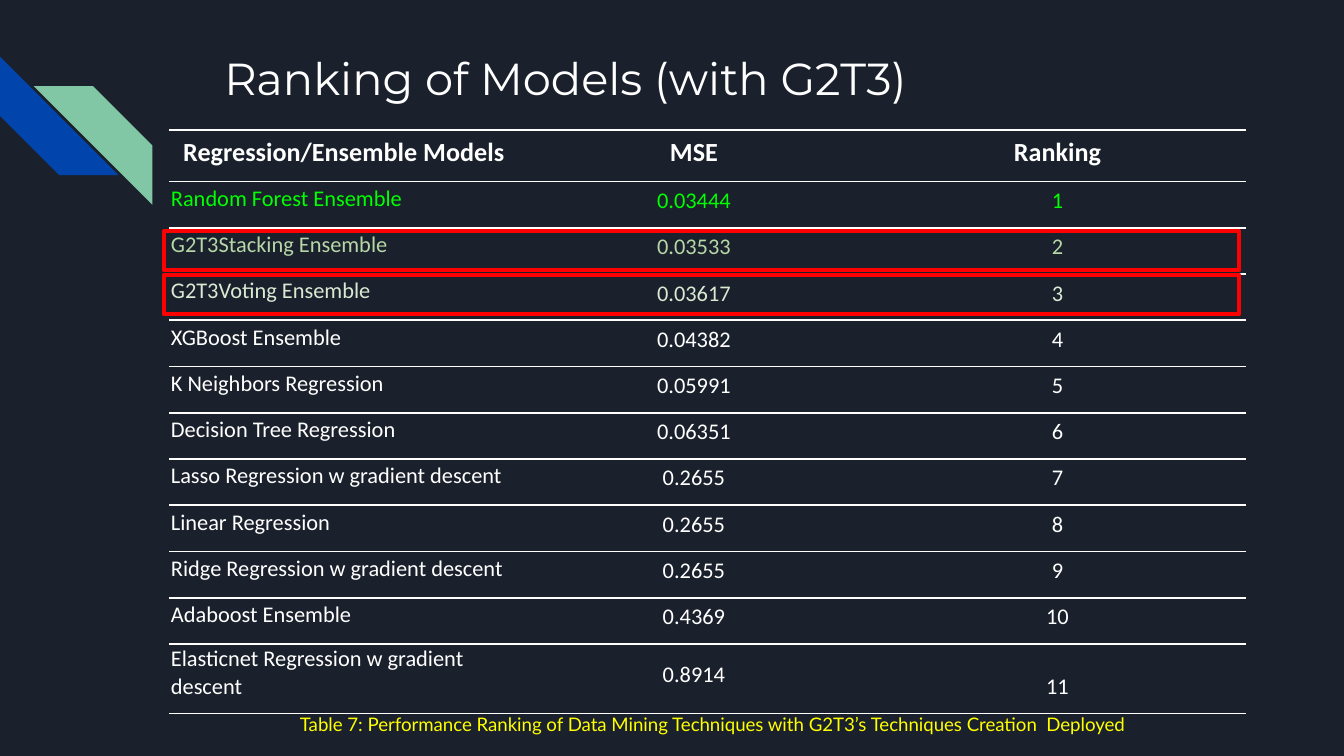
from pptx import Presentation
from pptx.dml.color import RGBColor
from pptx.enum.shapes import MSO_SHAPE
from pptx.enum.text import MSO_ANCHOR, PP_ALIGN
from pptx.oxml.ns import qn
from pptx.util import Cm, Pt
from lxml.etree import SubElement

NAVY = RGBColor(0x1B, 0x21, 0x2C)
BLUE = RGBColor(0x01, 0x45, 0xAC)
MINT = RGBColor(0x82, 0xC7, 0xA5)
WHITE = RGBColor(0xFF, 0xFF, 0xFF)
RED = RGBColor(0xFF, 0x00, 0x00)
YELLOW = RGBColor(0xFF, 0xFF, 0x00)
GREEN = RGBColor(0x00, 0xFF, 0x00)
SAGE = RGBColor(0xB6, 0xD7, 0xA8)
PALE_SAGE = RGBColor(0xD9, 0xEA, 0xD3)

HEADINGS = ("Regression/Ensemble Models", "MSE", "Ranking")
MODELS = [
    ("Random Forest Ensemble", "0.03444"),
    ("G2T3Stacking Ensemble", "0.03533"),
    ("G2T3Voting Ensemble", "0.03617"),
    ("XGBoost Ensemble", "0.04382"),
    ("K Neighbors Regression", "0.05991"),
    ("Decision Tree Regression", "0.06351"),
    ("Lasso Regression w gradient descent", "0.2655"),
    ("Linear Regression", "0.2655"),
    ("Ridge Regression w gradient descent", "0.2655"),
    ("Adaboost Ensemble", "0.4369"),
    ("Elasticnet Regression w gradient descent", "0.8914"),
]
RANK_COLORS = {1: GREEN, 2: SAGE, 3: PALE_SAGE}
COLUMN_WIDTHS = (6.6, 6.63, 7.11)
HEADER_HEIGHT, ROW_HEIGHT, LAST_ROW_HEIGHT = 0.97, 0.87, 1.3


class RankingSlide:
    table_font = "Calibri"
    title_font = "Montserrat"
    caption_font = "Lato"

    def __init__(self, presentation):
        self.slide = presentation.slides.add_slide(presentation.slide_layouts[5])
        self.slide.background.fill.solid()
        self.slide.background.fill.fore_color.rgb = NAVY

    def format_text(self, paragraph, font_name, size, color, bold=False):
        for run in paragraph.runs:
            run.font.name = font_name
            run.font.size = Pt(size)
            run.font.color.rgb = color
            run.font.bold = bold

    def fill_frame(self, shape, text, font_name, size, color, alignment):
        frame = shape.text_frame
        frame.text = text
        frame.word_wrap = True
        frame.vertical_anchor = MSO_ANCHOR.TOP
        frame.margin_left = frame.margin_right = Cm(0.25)
        frame.margin_top = frame.margin_bottom = Cm(0.25)
        frame.paragraphs[0].alignment = alignment
        self.format_text(frame.paragraphs[0], font_name, size, color)

    def title(self, text, left, top, width, height):
        shape = self.slide.shapes.title
        shape.left, shape.top = Cm(left), Cm(top)
        shape.width, shape.height = Cm(width), Cm(height)
        self.fill_frame(shape, text, self.title_font, 24, WHITE, PP_ALIGN.LEFT)

    def caption(self, text, left, top, width, height):
        shape = self.slide.shapes.add_textbox(Cm(left), Cm(top), Cm(width), Cm(height))
        self.fill_frame(shape, text, self.caption_font, 10, YELLOW, PP_ALIGN.CENTER)

    def stripe(self, left, top, size, color, rotation=0, mirrored=False):
        shape = self.slide.shapes.add_shape(
            MSO_SHAPE.DIAGONAL_STRIPE, Cm(left), Cm(top), Cm(size), Cm(size))
        shape.shadow.inherit = False
        shape.fill.solid()
        shape.fill.fore_color.rgb = color
        shape.line.fill.background()
        shape.rotation = rotation
        if mirrored:
            shape.element.spPr.find(qn("a:xfrm")).set("flipH", "1")

    def highlight(self, left, top, width, height):
        shape = self.slide.shapes.add_shape(
            MSO_SHAPE.RECTANGLE, Cm(left), Cm(top), Cm(width), Cm(height))
        shape.shadow.inherit = False
        shape.fill.background()
        shape.line.color.rgb = RED
        shape.line.width = Pt(2.25)

    def cell_borders(self, cell):
        properties = cell._tc.get_or_add_tcPr()
        for position, side in enumerate(("lnL", "lnR", "lnT", "lnB")):
            line = properties.makeelement(qn(f"a:{side}"), {"w": str(Pt(1))})
            if side in ("lnT", "lnB"):
                fill = SubElement(line, qn("a:solidFill"))
                SubElement(fill, qn("a:srgbClr"), val=str(WHITE))
            else:
                SubElement(line, qn("a:noFill"))
            properties.insert(position, line)

    def cell(self, cell, text, size, color, bold, alignment, spacing, anchor):
        cell.text_frame.text = text
        cell.margin_left = cell.margin_right = cell.margin_top = Cm(0.03)
        cell.margin_bottom = Cm(0.25)
        cell.vertical_anchor = anchor
        cell.fill.background()
        self.cell_borders(cell)
        paragraph = cell.text_frame.paragraphs[0]
        paragraph.alignment = alignment
        paragraph.line_spacing = spacing
        self.format_text(paragraph, self.table_font, size, color, bold)

    def ranking_table(self, left, top):
        heights = [HEADER_HEIGHT] + [ROW_HEIGHT] * (len(MODELS) - 1) + [LAST_ROW_HEIGHT]
        table = self.slide.shapes.add_table(
            len(heights), len(COLUMN_WIDTHS), Cm(left), Cm(top),
            Cm(sum(COLUMN_WIDTHS)), Cm(sum(heights))).table
        table.horz_banding = False
        for column, width in zip(table.columns, COLUMN_WIDTHS):
            column.width = Cm(width)
        for row, height in zip(table.rows, heights):
            row.height = Cm(height)

        rows = [HEADINGS] + [(*model, str(rank)) for rank, model in enumerate(MODELS, 1)]
        for rank, texts in enumerate(rows):
            header = rank == 0
            for column, text in enumerate(texts):
                is_name = column == 0
                at_bottom = (header and column != 1) or (column == 2 and rank > 5)
                self.cell(
                    table.cell(rank, column), text,
                    size=14 if header else 12,
                    color=RANK_COLORS.get(rank, WHITE),
                    bold=header,
                    alignment=PP_ALIGN.LEFT if is_name and not header else PP_ALIGN.CENTER,
                    spacing=1.0 if is_name else 1.15,
                    anchor=MSO_ANCHOR.BOTTOM if at_bottom else MSO_ANCHOR.MIDDLE)


def main():
    presentation = Presentation()
    presentation.slide_width = Cm(25.4)
    presentation.slide_height = Cm(14.29)
    ranking = RankingSlide(presentation)
    ranking.stripe(0, 1.07, 2.24, BLUE, rotation=270)
    ranking.stripe(0.64, 1.63, 2.24, MINT, mirrored=True)
    ranking.ranking_table(3.2, 2.46)
    ranking.title("Ranking of Models (with G2T3)", 3.99, 0.71, 16.97, 1.98)
    for top in (4.37, 5.2):
        ranking.highlight(3.1, top, 20.32, 0.74)
    ranking.caption(
        "Table 7: Performance Ranking of Data Mining Techniques with "
        "G2T3’s Techniques Creation  Deployed", 3.3, 13.26, 20.32, 0.94)
    presentation.save("out.pptx")


if __name__ == "__main__":
    main()
